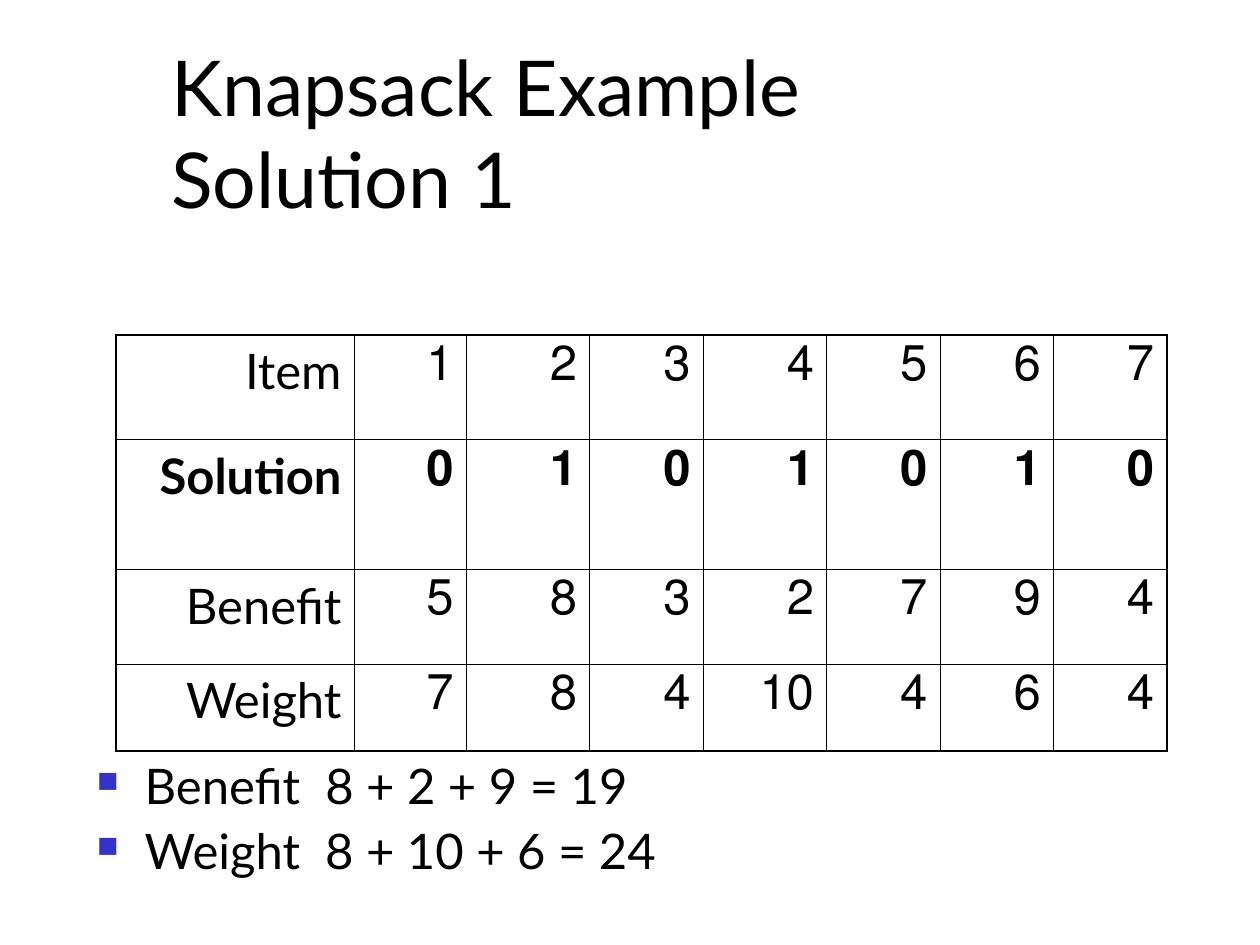
"""Build the knapsack example slide with its solution table."""
from lxml import etree
from pptx import Presentation
from pptx import util as u
from pptx.dml.color import RGBColor
from pptx.enum import text
from pptx.oxml.ns import qn

HEAD = "Knapsack Example\vSolution 1"
ROWS = [
    ("Item", 1, 2, 3, 4, 5, 6, 7),
    ("Solution", 0, 1, 0, 1, 0, 1, 0),
    ("Benefit", 5, 8, 3, 2, 7, 9, 4),
    ("Weight", 7, 8, 4, 10, 4, 6, 4),
]
SUMS = ["Benefit  8 + 2 + 9 = 19", "Weight  8 + 10 + 6 = 24"]
WIDE = [1.89, 0.89, 0.98, 0.9, 0.98, 0.9, 0.9, 0.9]
HIGH = [0.83, 1.03, 0.75, 0.69]
HUE = {"ink": "000000", "page": "FFFFFF", "mark": "3333CC"}
THIN, THICK = 0.45, 1.08
LEFT, RIGHT = text.PP_ALIGN.LEFT, text.PP_ALIGN.RIGHT


def rgb(name):
    return RGBColor.from_string(HUE[name])


def style(para, size, align, **more):
    form = {"name": "Lato", "size": u.Pt(size), **more}
    for run in para.runs:
        for key, val in form.items():
            setattr(run.font, key, val)
        run.font.color.rgb = rgb("ink")
    para.alignment = align


def add_box(slide, area, anchor):
    box = slide.shapes.add_textbox(*map(u.Inches, area))
    form = {"word_wrap": True, "vertical_anchor": anchor}
    for key, val in form.items():
        setattr(box.text_frame, key, val)
    return box.text_frame


def add_mark(para):
    props = para._p.get_or_add_pPr()
    props.set("marL", str(u.Inches(0.38)))
    props.set("indent", str(-u.Inches(0.38)))
    tint = etree.SubElement(props, qn("a:buClr"))
    etree.SubElement(tint, qn("a:srgbClr"), val=HUE["mark"])
    etree.SubElement(props, qn("a:buSzPct"), val="60000")
    etree.SubElement(props, qn("a:buChar"), char="■")


def add_edges(cell, row, col):
    outer = {"L": col == 0, "R": col == len(WIDE) - 1,
             "T": row == 0, "B": row == len(HIGH) - 1}
    props = cell._tc.get_or_add_tcPr()
    for side, edge in outer.items():
        line = etree.SubElement(props, qn("a:ln" + side),
                                w=str(u.Pt(THICK if edge else THIN)))
        fill = etree.SubElement(line, qn("a:solidFill"))
        etree.SubElement(fill, qn("a:srgbClr"), val=HUE["ink"])


def add_grid(slide):
    area = (0.92, 2.66, sum(WIDE), sum(HIGH))
    grid = slide.shapes.add_table(len(HIGH), len(WIDE),
                                  *map(u.Inches, area)).table
    grid.first_row = grid.horz_banding = False
    for col, wide in zip(grid.columns, WIDE):
        col.width = u.Inches(wide)
    for row, high in zip(grid.rows, HIGH):
        row.height = u.Inches(high)
    for i, row in enumerate(ROWS):
        for j, val in enumerate(row):
            cell = grid.cell(i, j)
            cell.text = str(val)
            para = cell.text_frame.paragraphs[0]
            style(para, 28, RIGHT, bold=row[0] == "Solution")
            para._p.get_or_add_pPr().set("rtl", "1")
            add_edges(cell, i, j)
            cell.fill.background()


def main():
    deck = Presentation()
    deck.slide_width, deck.slide_height = u.Inches(10), u.Inches(7.5)
    slide = deck.slides.add_slide(deck.slide_layouts[6])
    back = slide.background.fill
    back.solid()
    back.fore_color.rgb = rgb("page")

    head = add_box(slide, (1.26, 0.23, 8.52, 1.6), text.MSO_ANCHOR.BOTTOM)
    head.text = HEAD
    style(head.paragraphs[0], 44, LEFT)

    body = add_box(slide, (0.67, 6, 8.25, 1.08), text.MSO_ANCHOR.TOP)
    body.text = "\n".join(SUMS)
    for i, para in enumerate(body.paragraphs):
        add_mark(para)
        para.line_spacing = 0.9
        para.space_before = u.Pt(7 if i else 0)
        style(para, 28, LEFT)

    add_grid(slide)
    deck.save("out.pptx")


if __name__ == "__main__":
    main()
